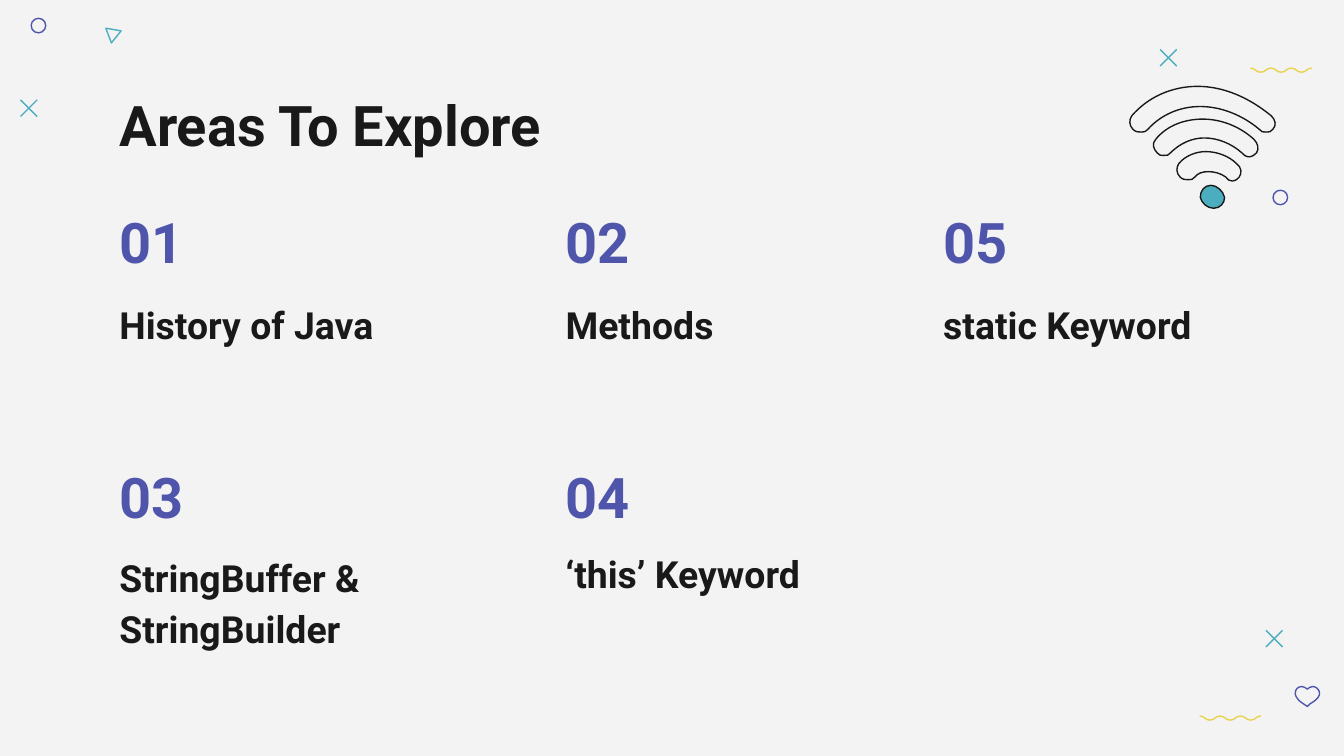
from collections import namedtuple

from lxml.etree import Element, SubElement
from pptx import Presentation
from pptx.dml.color import RGBColor
from pptx.enum.shapes import MSO_CONNECTOR, MSO_SHAPE
from pptx.enum.text import MSO_ANCHOR
from pptx.oxml.ns import qn
from pptx.util import Pt

Box = namedtuple("Box", "left top width height")

PAPER = RGBColor(0xF3, 0xF3, 0xF3)
INK = RGBColor(0x19, 0x19, 0x19)
INDIGO = RGBColor(0x4F, 0x55, 0xAB)
TEAL = RGBColor(0x4A, 0xAE, 0xBF)
YELLOW = RGBColor(0xE8, 0xD2, 0x4F)

FONT = "Roboto"
LINE_WIDTH = 0.75
MARK = 8.9
RING = 7.8
CAPTION_OFFSET = 39.3

COLUMNS = (56.9, 295.9, 498.2)
ROWS = (109, 245.7)
TOPICS = (
    ("01", "History of Java", 0, 0, 44.6),
    ("02", "Methods", 1, 0, 44.6),
    ("03", "StringBuffer & StringBuilder", 0, 1, 71),
    ("04", "‘this’ Keyword", 1, 1, 41.5),
    ("05", "static Keyword", 2, 0, 45),
)

TRIANGLE = ((0, 0), ((4, 11), (11, 2), (0, 0)))
HEART = ((9, 15), (
    (6, 13), (0, 9, 0, 6, 0, 5), (0, 2, 2, 0, 5, 0),
    (6, 0, 8, 1, 9, 2), (10, 1, 11, 0, 13, 0), (15, 0, 18, 2, 18, 5),
    (18, 6, 18, 9, 11, 13),
))
WAVE = ((0, 0), tuple(
    (i + 0.5, i % 2, i + 0.5, (i + 1) % 2, i + 1, (i + 1) % 2) for i in range(6)
))
WIFI_PARTS = (
    (Box(0, 0, 79.2, 24.5), (110, 34), PAPER, ((51, 0), (
        (32, 0, 14, 8, 2, 22), (0, 25, 0, 29, 3, 32), (5, 34, 7, 34, 9, 34),
        (11, 34, 12, 34, 14, 32), (24, 21, 38, 15, 53, 15), (68, 15, 84, 21, 97, 32),
        (98, 34, 100, 34, 102, 34), (104, 34, 106, 34, 107, 32),
        (110, 29, 109, 25, 106, 22), (89, 8, 70, 0, 51, 0)))),
    (Box(12.2, 17.5, 57.6, 20.2), (80, 28), PAPER, ((38, 0), (
        (24, 0, 11, 5, 3, 15), (0, 18, 1, 22, 4, 25), (5, 27, 7, 27, 9, 27),
        (11, 27, 13, 27, 14, 25), (21, 18, 30, 14, 39, 14), (49, 14, 59, 18, 67, 25),
        (69, 27, 70, 28, 73, 28), (74, 28, 76, 27, 78, 25),
        (80, 22, 79, 18, 76, 15), (65, 5, 51, 0, 38, 0)))),
    (Box(24.5, 34.9, 36, 15.8), (50, 22), PAPER, ((23, 0), (
        (16, 0, 8, 3, 3, 9), (1, 12, 1, 16, 4, 19), (6, 21, 8, 21, 10, 21),
        (12, 21, 14, 21, 15, 19), (17, 16, 21, 15, 25, 15), (29, 15, 34, 16, 38, 19),
        (39, 21, 41, 22, 43, 22), (45, 22, 46, 21, 48, 19),
        (50, 16, 50, 12, 46, 9), (40, 3, 31, 0, 23, 0)))),
    (Box(38.2, 53, 13, 12.3), (18, 17), TEAL, ((8, 0), (
        (3, 0, 0, 4, 0, 9), (1, 13, 5, 17, 10, 17),
        (15, 17, 18, 13, 18, 9), (17, 4, 12, 0, 8, 0)))),
)


def style_shape(shape, line, fill=None):
    shape.shadow.inherit = False
    shape.line.color.rgb = line
    shape.line.width = Pt(LINE_WIDTH)
    if fill is None:
        shape.fill.background()
    else:
        shape.fill.solid()
        shape.fill.fore_color.rgb = fill


def draw_outline(page, box, grid, outline, line, fill=None, close=True):
    def place(x, y):
        return (Pt(box.left + x * box.width / grid[0]),
                Pt(box.top + y * box.height / grid[1]))

    start, segments = outline
    builder = page.shapes.build_freeform(*place(*start), scale=1.0)
    builder.add_line_segments([place(*segment[-2:]) for segment in segments], close=close)
    shape = builder.convert_to_shape()
    straights = list(shape._element.iter(qn("a:lnTo")))
    for straight, segment in zip(straights, segments):
        if len(segment) == 6:
            curve = Element(qn("a:cubicBezTo"))
            for x, y in zip(segment[::2], segment[1::2]):
                left, top = place(x, y)
                SubElement(curve, qn("a:pt"), x=str(left - shape.left), y=str(top - shape.top))
            straight.getparent().replace(straight, curve)
    style_shape(shape, line, fill)


def draw_ring(page, box):
    ring = page.shapes.add_shape(MSO_SHAPE.OVAL, *map(Pt, box))
    style_shape(ring, INDIGO)


def draw_cross(page, box):
    right, bottom = box.left + box.width, box.top + box.height
    for x1, x2 in ((box.left, right), (right, box.left)):
        stroke = page.shapes.add_connector(
            MSO_CONNECTOR.STRAIGHT, Pt(x1), Pt(box.top), Pt(x2), Pt(bottom))
        stroke.line.color.rgb = TEAL
        stroke.line.width = Pt(LINE_WIDTH)
        SubElement(stroke._element.spPr, qn("a:effectLst"))


def draw_decorations(page, box):
    for x, y in ((11, 53.5), (678.2, 337.7), (621.5, 26.5)):
        draw_cross(page, Box(box.left + x, box.top + y, MARK, MARK))
    for x, y in ((16.7, 9.8), (682, 101.9)):
        draw_ring(page, Box(box.left + x, box.top + y, RING, RING))
    for x, y in ((642.7, 383.6), (669.9, 36.5)):
        wave = Box(box.left + x, box.top + y, 32.8, 2.2)
        draw_outline(page, wave, (6, 1), WAVE, YELLOW, close=False)
    triangle = Box(box.left + 56.7, box.top + 15.1, 8.2, 7.9)
    draw_outline(page, triangle, (11, 11), TRIANGLE, TEAL)
    heart = Box(box.left + 693.9, box.top + 367.8, 13, 10.7)
    draw_outline(page, heart, (18, 15), HEART, INDIGO)


def draw_wifi(page, box):
    for part, grid, fill, outline in WIFI_PARTS:
        place = Box(box.left + part.left, box.top + part.top, part.width, part.height)
        draw_outline(page, place, grid, outline, INK, fill)


def write_text(page, box, text, size, color, anchor=MSO_ANCHOR.BOTTOM, spacing=1.0):
    frame = page.shapes.add_textbox(*map(Pt, box)).text_frame
    frame.word_wrap = True
    frame.vertical_anchor = anchor
    frame.margin_left = frame.margin_right = Pt(7.2)
    frame.margin_top = frame.margin_bottom = Pt(7.2)
    para = frame.paragraphs[0]
    para.line_spacing = spacing
    span = para.add_run()
    span.text = text
    span.font.name = FONT
    span.font.size = Pt(size)
    span.font.bold = True
    span.font.color.rgb = color


def write_topic(page, box, number, caption):
    write_text(page, Box(box.left, box.top, 54, 45.4), number, size=30, color=INDIGO)
    caption_box = Box(box.left, box.top + CAPTION_OFFSET, box.width, box.height - CAPTION_OFFSET)
    write_text(page, caption_box, caption, size=20, color=INK, spacing=1.15)


def main():
    deck = Presentation()
    deck.slide_width, deck.slide_height = Pt(720), Pt(405)
    page = deck.slides.add_slide(deck.slide_layouts[6])
    page.background.fill.solid()
    page.background.fill.fore_color.rgb = PAPER
    draw_decorations(page, Box(0, 0, 720, 405))
    write_text(page, Box(56.9, 41.4, 607, 52.6), "Areas To Explore",
               size=30, color=INK, anchor=MSO_ANCHOR.TOP)
    draw_wifi(page, Box(604.8, 46.3, 79.2, 65.3))
    for number, caption, column, row, caption_height in TOPICS:
        box = Box(COLUMNS[column], ROWS[row], 181.4, CAPTION_OFFSET + caption_height)
        write_topic(page, box, number, caption)
    deck.save("out.pptx")


if __name__ == "__main__":
    main()
